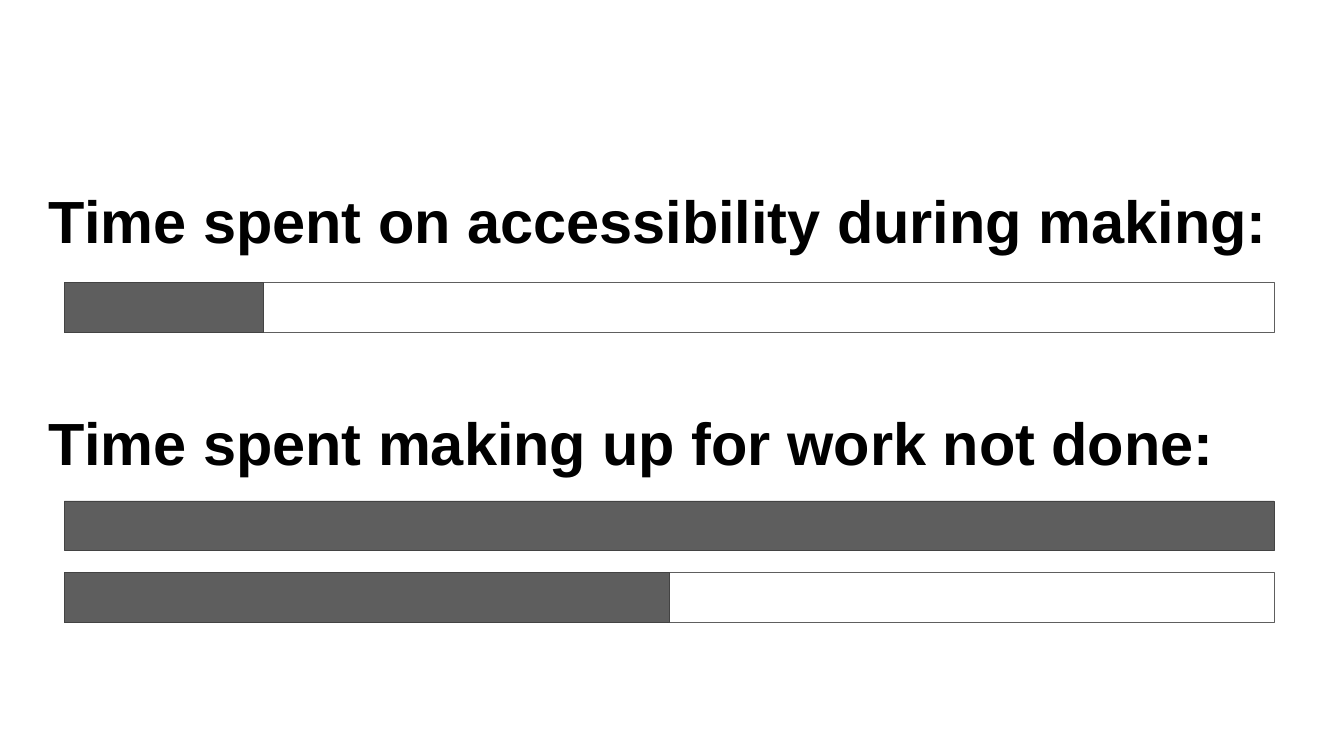
from dataclasses import dataclass

from pptx import Presentation
from pptx.dml.color import RGBColor
from pptx.enum.shapes import MSO_SHAPE
from pptx.enum.text import MSO_ANCHOR, MSO_AUTO_SIZE, PP_ALIGN
from pptx.util import Inches, Pt


@dataclass(frozen=True)
class Theme:
    """Colours, type and line sizes of the slide."""
    font: str = "Arial"
    heading_size: float = 85
    text: RGBColor = RGBColor(0, 0, 0)
    empty: RGBColor = RGBColor(0xFF, 0xFF, 0xFF)
    filled: RGBColor = RGBColor(0x5E, 0x5E, 0x5E)
    edge: RGBColor = RGBColor(0x43, 0x43, 0x43)
    line_width: float = 0.75


THEME = Theme()
WIDTH, HEIGHT = 26.67, 15
HEADING_LEFT, HEADING_WIDTH, HEADING_HEIGHT = 0.91, 24.85, 1.67
BAR_LEFT, BAR_WIDTH, BAR_HEIGHT = 1.28, 24, 0.98


def set_format(target, values):
    """Set each attribute of target from a dict of format values."""
    for name, value in values.items():
        setattr(target, name, value)


def format_heading(sp, text, top):
    """Place a heading and give it its text and type."""
    set_format(sp, {"left": Inches(HEADING_LEFT), "top": Inches(top),
                    "width": Inches(HEADING_WIDTH), "height": Inches(HEADING_HEIGHT)})
    tf = sp.text_frame
    set_format(tf, {f"margin_{side}": Inches(0.06)
                    for side in ("left", "top", "right", "bottom")})
    set_format(tf, {"word_wrap": True, "auto_size": MSO_AUTO_SIZE.NONE,
                    "vertical_anchor": MSO_ANCHOR.TOP})
    p = tf.paragraphs[0]
    set_format(p, {"alignment": PP_ALIGN.LEFT, "line_spacing": 0.8})
    r = p.add_run()
    r.text = text
    set_format(r.font, {"name": THEME.font, "size": Pt(THEME.heading_size), "bold": True})
    r.font.color.rgb = THEME.text


def add_bar_part(shapes, top, share, fill, line):
    """Draw a rectangle that covers a share of the full bar."""
    sp = shapes.add_shape(MSO_SHAPE.RECTANGLE, Inches(BAR_LEFT), Inches(top),
                          Inches(BAR_WIDTH * share), Inches(BAR_HEIGHT))
    sp.shadow.inherit = False
    sp.fill.solid()
    sp.fill.fore_color.rgb = fill
    sp.line.color.rgb = line
    sp.line.width = Pt(THEME.line_width)


def add_progress_bar(s, top, share):
    """Draw a grouped bar filled up to the given share."""
    shapes = s.shapes.add_group_shape().shapes
    if share < 1:
        add_bar_part(shapes, top, 1, THEME.empty, THEME.filled)
    add_bar_part(shapes, top, share, THEME.filled, THEME.edge)


def main():
    """Build the time comparison slide."""
    prs = Presentation()
    set_format(prs, {"slide_width": Inches(WIDTH), "slide_height": Inches(HEIGHT)})
    s = prs.slides.add_slide(prs.slide_layouts[5])
    format_heading(s.shapes.title, "Time spent on accessibility during making:", 3.86)
    add_progress_bar(s, 5.61, 3.95 / BAR_WIDTH)
    format_heading(s.shapes.add_textbox(0, 0, 0, 0),
                   "Time spent making up for work not done:", 8.27)
    for top, share in ((9.94, 1), (11.36, 0.5)):
        add_progress_bar(s, top, share)
    prs.save("out.pptx")


if __name__ == "__main__":
    main()
